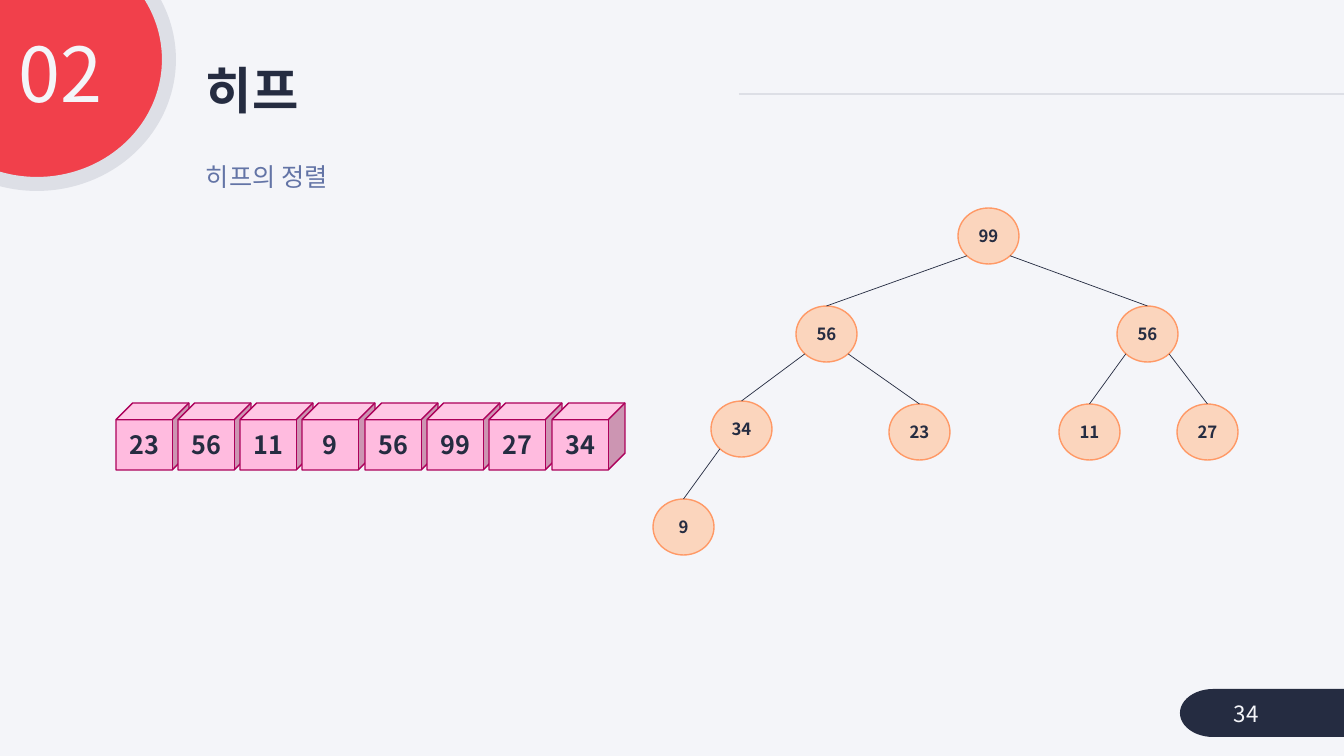
from math import sqrt

from lxml import etree
from pptx import Presentation
from pptx.dml.color import RGBColor
from pptx.enum.shapes import MSO_CONNECTOR, MSO_SHAPE
from pptx.enum.text import MSO_ANCHOR, PP_ALIGN
from pptx.oxml.ns import qn
from pptx.util import Emu, Pt

STRAIGHT = MSO_CONNECTOR.STRAIGHT
ELLIPSE, CUBE = MSO_SHAPE.OVAL, MSO_SHAPE.CUBE
TERMINATOR = MSO_SHAPE.FLOWCHART_TERMINATOR
LEFT, CENTER, RIGHT = PP_ALIGN.LEFT, PP_ALIGN.CENTER, PP_ALIGN.RIGHT
TOP, MIDDLE = MSO_ANCHOR.TOP, MSO_ANCHOR.MIDDLE

EMU_PER_PX = 914400 / 100.8
FONT = "Noto Sans CJK KR"
COLORS = {
    "paper": "F4F5F9",
    "rule": "DDDFE6",
    "badge": "F1404B",
    "ink": "252C41",
    "subtitle": "6374A6",
    "cube": "FFBBDF",
    "cube_edge": "AC005A",
    "node": "FBD5BD",
    "node_edge": "FF9966",
}

ARRAY = ["23", "56", "11", "9", "56", "99", "27", "34"]
ARRAY_LEFT, ARRAY_TOP, ARRAY_SPAN = 116, 403, 436
CUBE_SIZE = (73, 67)
NODE_SIZE = (61, 56)
HEAP = [
    ("99", 958, 208),
    ("56", 796, 306),
    ("56", 1117, 306),
    ("34", 711, 401),
    ("23", 889, 404),
    ("11", 1059, 404),
    ("27", 1177, 404),
    ("9", 653, 499),
]


def px(length):
    """Turn pixels into EMU."""
    return Emu(round(length * EMU_PER_PX))


def color(name):
    """Look up a palette colour."""
    return RGBColor.from_string(COLORS[name])


def write(holder, text, size, ink="ink", bold=False, align=LEFT, anchor=MIDDLE):
    """Put one formatted paragraph into a shape and return it."""
    frame = holder.text_frame
    frame.text = text
    frame.word_wrap = True
    frame.vertical_anchor = anchor
    paragraph = frame.paragraphs[0]
    paragraph.alignment = align
    font = paragraph.runs[0].font
    font.size = Pt(size)
    font.bold = bold
    font.color.rgb = color(ink)
    font.name = FONT
    east_asian = etree.SubElement(paragraph.runs[0]._r.rPr, qn("a:ea"))
    east_asian.set("typeface", FONT)
    return paragraph


def add_label(slide, box, text, size, **style):
    """Add a text box and return its paragraph."""
    return write(slide.shapes.add_textbox(*map(px, box)), text, size, **style)


def add_solid(shapes, kind, box, fill, edge=None, width=1):
    """Add a filled preset shape with an optional outline."""
    solid = shapes.add_shape(kind, *map(px, box))
    solid.shadow.inherit = False
    solid.fill.solid()
    solid.fill.fore_color.rgb = color(fill)
    if edge:
        solid.line.color.rgb = color(edge)
        solid.line.width = Pt(width)
    else:
        solid.line.fill.background()
    return solid


def add_rule(slide, start, end, ink, width):
    """Add a straight line between two points."""
    rule = slide.shapes.add_connector(STRAIGHT, *map(px, (*start, *end)))
    rule.line.color.rgb = color(ink)
    rule.line.width = Pt(width)
    etree.SubElement(rule._element.spPr, qn("a:effectLst"))
    return rule


def add_header(slide):
    """Add the section badge, titles and header line."""
    add_rule(slide, (739, 94), (1344, 94), "rule", 1.5)
    add_solid(slide.shapes, ELLIPSE, (-95, -65, 264, 249), "badge", "rule", 10)
    title = add_label(slide, (196, 59, 543, 68), "히프", 36, bold=True)
    title.line_spacing = 0.9
    section = add_label(slide, (-11, 32, 123, 93), "02", 54, ink="paper",
                        align=RIGHT, anchor=TOP)
    section.line_spacing = 0.9
    section.space_before = Pt(10)
    add_label(slide, (196, 156, 428, 40), "히프의 정렬", 18, ink="subtitle", anchor=TOP)


def add_page_number(slide):
    """Add the page number on its tab."""
    add_solid(slide.shapes, TERMINATOR, (1180, 689, 207, 48), "ink")
    add_label(slide, (1224, 694, 110, 40), "34", 16, ink="paper")


def add_array(slide):
    """Add the unsorted values as a grouped row of cubes."""
    row = slide.shapes.add_group_shape()
    for index, value in enumerate(ARRAY):
        left = ARRAY_LEFT + ARRAY_SPAN * index // (len(ARRAY) - 1)
        cube = add_solid(row.shapes, CUBE, (left, ARRAY_TOP, *CUBE_SIZE),
                         "cube", "cube_edge")
        write(cube, value, 18, bold=True, align=CENTER)


def add_heap(slide):
    """Add the heap nodes and join each one to its parent."""
    width, height = NODE_SIZE
    nodes = []
    for index, (value, left, top) in enumerate(HEAP):
        node = add_solid(slide.shapes, ELLIPSE, (left, top, width, height),
                         "node", "node_edge")
        write(node, value, 12, bold=True, align=CENTER)
        nodes.append(node)
        if index:
            _, parent_left, parent_top = HEAP[(index - 1) // 2]
            side = -1 if index % 2 else 1
            start = (parent_left + width / 2 * (1 + side / sqrt(2)),
                     parent_top + height / 2 * (1 + 1 / sqrt(2)))
            edge = add_rule(slide, start, (left + width / 2, top), "ink", 0.5)
            edge.end_connect(nodes[index], 0)


def main():
    """Build and save the heap sort slide."""
    deck = Presentation()
    deck.slide_width, deck.slide_height = px(1344), px(756)
    slide = deck.slides.add_slide(deck.slide_layouts[6])
    slide.background.fill.solid()
    slide.background.fill.fore_color.rgb = color("paper")
    add_header(slide)
    add_page_number(slide)
    add_array(slide)
    add_heap(slide)
    deck.save("out.pptx")


if __name__ == "__main__":
    main()
